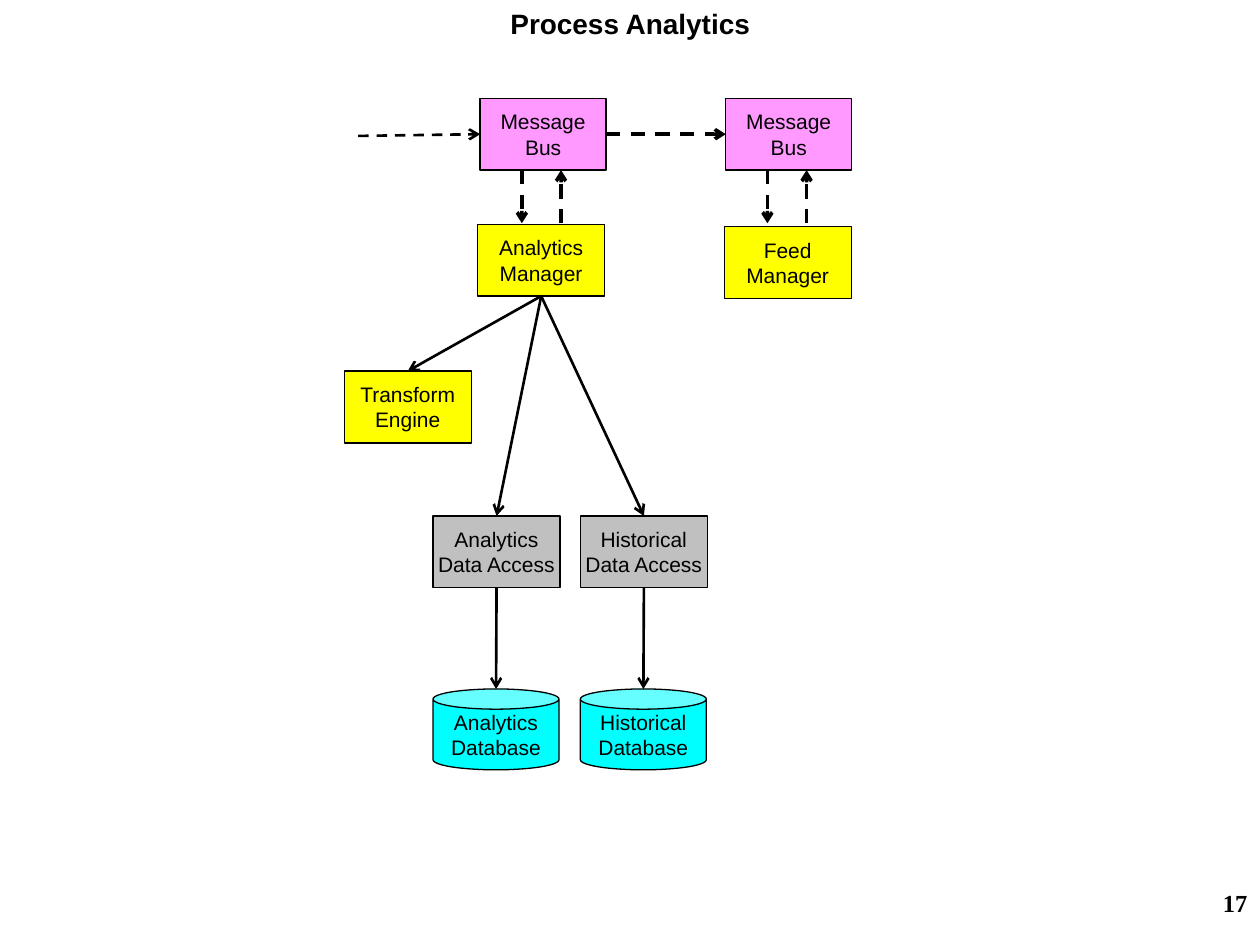
import pptx
import pptx.util
import pptx.dml.color
import pptx.enum.dml
import pptx.enum.shapes
import pptx.enum.text
import pptx.oxml
import pptx.oxml.ns

Cm, Pt = pptx.util.Cm, pptx.util.Pt
SHAPE = pptx.enum.shapes.MSO_SHAPE
ALIGN = pptx.enum.text.PP_ALIGN
ANCHOR = pptx.enum.text.MSO_ANCHOR

COLORS = {"ink": "000000", "bus": "FF99FF", "manager": "FFFF00",
          "access": "C0C0C0", "database": "00FFFF"}
LABEL = {"name": "Arial", "size": Pt(12), "bold": False}
TITLE = {"name": "Arial", "size": Pt(16), "bold": True}
NUMBER = {"name": "Times New Roman", "size": Pt(14), "bold": True}


def color(key):
    return pptx.dml.color.RGBColor.from_string(COLORS[key])


def top(sp):
    return sp.left + sp.width // 2, sp.top


def bottom(sp):
    return sp.left + sp.width // 2, sp.top + sp.height


def left(sp):
    return sp.left, sp.top + sp.height // 2


def right(sp):
    return sp.left + sp.width, sp.top + sp.height // 2


class Diagram:
    def __init__(self, slide):
        self.s = slide

    def label(self, sp, text, style, align, anchor, wrap):
        tf = sp.text_frame
        frame = {"text": text, "vertical_anchor": anchor, "word_wrap": wrap,
                 "auto_size": pptx.enum.text.MSO_AUTO_SIZE.NONE}
        for key, value in frame.items():
            setattr(tf, key, value)
        for p in tf.paragraphs:
            p.alignment = align
            for r in p.runs:
                for key, value in style.items():
                    setattr(r.font, key, value)
                r.font.color.rgb = color("ink")

    def title(self, text, x, y, w, h):
        sp = self.s.shapes.title
        sp.left, sp.top, sp.width, sp.height = Cm(x), Cm(y), Cm(w), Cm(h)
        self.label(sp, text, TITLE, ALIGN.CENTER, ANCHOR.TOP, False)

    def number(self, text, x, y, w, h):
        sp = self.s.shapes.add_textbox(Cm(x), Cm(y), Cm(w), Cm(h))
        self.label(sp, text, NUMBER, ALIGN.RIGHT, ANCHOR.TOP, True)

    def node(self, text, fill, x, y, w=2.56, h=1.45, kind=SHAPE.RECTANGLE):
        sp = self.s.shapes.add_shape(kind, Cm(x), Cm(y), Cm(w), Cm(h))
        sp.shadow.inherit = False
        sp.fill.solid()
        sp.fill.fore_color.rgb = color(fill)
        sp.line.color.rgb = color("ink")
        sp.line.width = Pt(0.75)
        self.label(sp, text, LABEL, ALIGN.CENTER, ANCHOR.MIDDLE, False)
        return sp

    def database(self, text, x, y):
        return self.node(text, "database", x, y, 2.54, 1.63, SHAPE.CAN)

    def arrow(self, start, end, width=1.5, dashed=False):
        sp = self.s.shapes.add_connector(
            pptx.enum.shapes.MSO_CONNECTOR.STRAIGHT, *start, *end)
        sp.line.color.rgb = color("ink")
        sp.line.width = Pt(width)
        if dashed:
            sp.line.dash_style = pptx.enum.dml.MSO_LINE.DASH
        ns = pptx.oxml.ns.nsdecls("a")
        ln = sp._element.spPr.find(pptx.oxml.ns.qn("a:ln"))
        ln.append(pptx.oxml.parse_xml(f'<a:tailEnd {ns} type="arrow"/>'))
        sp._element.spPr.append(pptx.oxml.parse_xml(f"<a:effectLst {ns}/>"))


def main():
    prs = pptx.Presentation()
    prs.slide_width, prs.slide_height = Cm(25.4), Cm(19.05)
    d = Diagram(prs.slides.add_slide(prs.slide_layouts[5]))
    d.title("Process Analytics", 9.86, 0, 5.69, 0.94)
    d.number("17", 20.12, 17.78, 5.28, 1.27)

    buses = [d.node("Message\nBus", "bus", x, 1.98, 2.54) for x in (9.68, 14.63)]
    manager = d.node("Analytics\nManager", "manager", 9.63, 4.52)
    d.node("Feed\nManager", "manager", 14.6, 4.57)
    engine = d.node("Transform\nEngine", "manager", 6.94, 7.48)
    d.arrow(bottom(manager), top(engine))

    for topic, x in (("Analytics", 8.73), ("Historical", 11.7)):
        access = d.node(f"{topic}\nData Access", "access", x, 10.4)
        database = d.database(f"{topic}\nDatabase", x, 13.89)
        d.arrow(bottom(manager), top(access))
        d.arrow(bottom(access), top(database))

    d.arrow((Cm(7.22), Cm(2.74)), left(buses[0]), dashed=True)
    d.arrow(right(buses[0]), left(buses[1]), 2, True)
    for bus in buses:
        y1, y2 = bus.top + bus.height, Cm(4.5)
        x1, x2 = bus.left + Cm(0.84), bus.left + Cm(1.63)
        d.arrow((x1, y1), (x1, y2), 2, True)
        d.arrow((x2, y2), (x2, y1), 2, True)
    prs.save("out.pptx")


if __name__ == "__main__":
    main()
